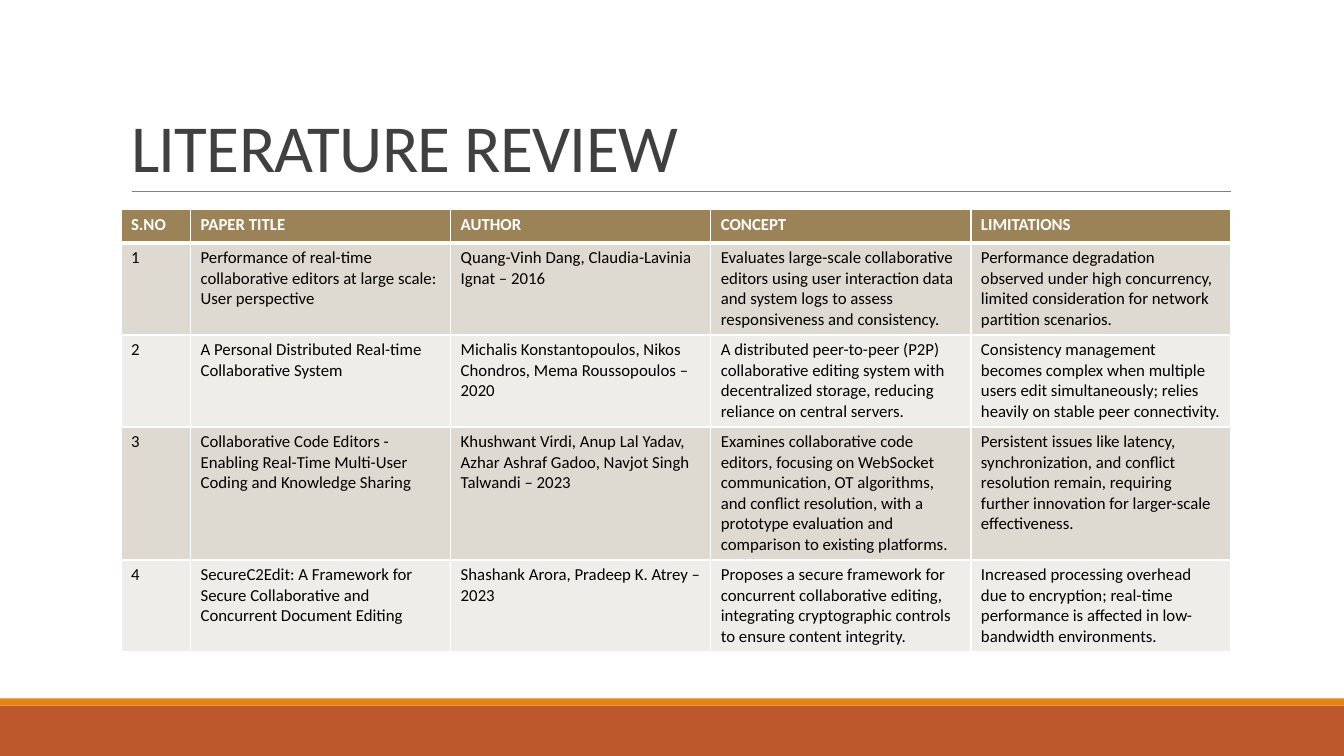
"""Build the literature review slide with its table of papers."""
from dataclasses import dataclass

from lxml.etree import SubElement
from pptx import Presentation
from pptx.dml.color import RGBColor as RGB
from pptx.enum.shapes import MSO_CONNECTOR as CONN, MSO_SHAPE as SHAPE
from pptx.enum.text import MSO_ANCHOR as ANCHOR, MSO_AUTO_SIZE as AUTO, PP_ALIGN as ALIGN
from pptx.oxml.ns import qn
from pptx.util import Inches, Pt

TITLE = "LITERATURE REVIEW"
HEADER = ("S.NO", "PAPER TITLE", "AUTHOR", "CONCEPT", "LIMITATIONS")
PAPERS = [
    ("Performance of real-time collaborative editors at large scale: User perspective",
     "Quang-Vinh Dang, Claudia-Lavinia Ignat – 2016",
     "Evaluates large-scale collaborative editors using user interaction data and system logs "
     "to assess responsiveness and consistency.",
     "Performance degradation observed under high concurrency, limited consideration for "
     "network partition scenarios."),
    ("A Personal Distributed Real-time Collaborative System",
     "Michalis Konstantopoulos, Nikos Chondros, Mema Roussopoulos – 2020",
     "A distributed peer-to-peer (P2P) collaborative editing system with decentralized storage, "
     "reducing reliance on central servers.",
     "Consistency management becomes complex when multiple users edit simultaneously; relies "
     "heavily on stable peer connectivity."),
    ("Collaborative Code Editors - Enabling Real-Time Multi-User Coding and Knowledge Sharing",
     "Khushwant Virdi, Anup Lal Yadav, Azhar Ashraf Gadoo, Navjot Singh Talwandi – 2023",
     "Examines collaborative code editors, focusing on WebSocket communication, OT algorithms, "
     "and conflict resolution, with a prototype evaluation and comparison to existing platforms.",
     "Persistent issues like latency, synchronization, and conflict resolution remain, requiring "
     "further innovation for larger-scale effectiveness."),
    ("SecureC2Edit: A Framework for Secure Collaborative and Concurrent Document Editing",
     "Shashank Arora, Pradeep K. Atrey – 2023",
     "Proposes a secure framework for concurrent collaborative editing, integrating "
     "cryptographic controls to ensure content integrity.",
     "Increased processing overhead due to encryption; real-time performance is affected in "
     "low-bandwidth environments."),
]
COL_WIDTHS = (0.69,) + (2.58,) * 4
ROW_HEIGHTS = (0.33, 0.91, 0.91, 1.32, 0.91)


@dataclass(frozen=True)
class Theme:
    font: str = "Calibri"
    title_size: int = 48
    cell_size: int = 12
    title: str = "404040"
    rule: str = "808080"
    text: str = "000000"
    white: str = "FFFFFF"
    header: str = "9B8357"
    bands: tuple = ("DED9D1", "EFEDEA")
    footer: str = "BD582C"
    stripe: str = "E48312"


THEME = Theme()


def style(p, size, color, bold=False):
    font = p.font
    font.name, font.size, font.bold = THEME.font, Pt(size), bold
    font.color.rgb = RGB.from_string(color)


def add_band(slide, top, height, color):
    s = slide.shapes.add_shape(SHAPE.RECTANGLE, 0, Inches(top), Inches(13.33), Inches(height))
    s.shadow.inherit = False
    s.fill.solid()
    s.fill.fore_color.rgb = RGB.from_string(color)
    s.line.fill.background()


def add_rule(slide):
    s = slide.shapes.add_connector(CONN.STRAIGHT, Inches(1.31), Inches(1.9),
                                   Inches(12.21), Inches(1.9))
    s.line.color.rgb = RGB.from_string(THEME.rule)
    s.line.width = Pt(0.5)
    SubElement(s._element.spPr, qn("a:effectLst"))


def add_title(slide):
    s = slide.shapes.title
    s.left, s.top, s.width, s.height = map(Inches, (1.2, 0.31, 11, 1.59))
    tf = s.text_frame
    tf.text = TITLE
    tf.auto_size = AUTO.NONE
    tf.vertical_anchor = ANCHOR.BOTTOM
    p = tf.paragraphs[0]
    p.alignment, p.line_spacing = ALIGN.LEFT, 0.85
    style(p, THEME.title_size, THEME.title)
    p.runs[0].font._element.set("spc", "-50")


def set_borders(cell, top, bottom):
    tc_pr = cell._tc.get_or_add_tcPr()
    for side, width in (("L", 1), ("R", 1), ("T", top), ("B", bottom)):
        ln = SubElement(tc_pr, qn(f"a:ln{side}"), w=str(Pt(width)))
        fill = SubElement(ln, qn("a:solidFill"))
        SubElement(fill, qn("a:srgbClr"), val=THEME.white)


def add_papers(slide):
    rows = [HEADER] + [(str(n), *paper) for n, paper in enumerate(PAPERS, 1)]
    table = slide.shapes.add_table(len(rows), len(HEADER), Inches(1.2), Inches(2.08),
                                   Inches(sum(COL_WIDTHS)), Inches(sum(ROW_HEIGHTS))).table
    for col, width in zip(table.columns, COL_WIDTHS):
        col.width = Inches(width)
    for r, (row, height) in enumerate(zip(rows, ROW_HEIGHTS)):
        table.rows[r].height = Inches(height)
        head = r == 0
        fill = THEME.header if head else THEME.bands[(r - 1) % 2]
        for c, text in enumerate(row):
            cell = table.cell(r, c)
            cell.text = text
            set_borders(cell, 3 if r == 1 else 1, 3 if head else 1)
            cell.fill.solid()
            cell.fill.fore_color.rgb = RGB.from_string(fill)
            style(cell.text_frame.paragraphs[0], THEME.cell_size,
                  THEME.white if head else THEME.text, head)


def main():
    prs = Presentation()
    prs.slide_width, prs.slide_height = Inches(13.33), Inches(7.5)
    slide = prs.slides.add_slide(prs.slide_layouts[5])
    add_band(slide, 7, 0.5, THEME.footer)
    add_band(slide, 6.93, 0.07, THEME.stripe)
    add_rule(slide)
    add_title(slide)
    add_papers(slide)
    prs.save("out.pptx")


if __name__ == "__main__":
    main()
